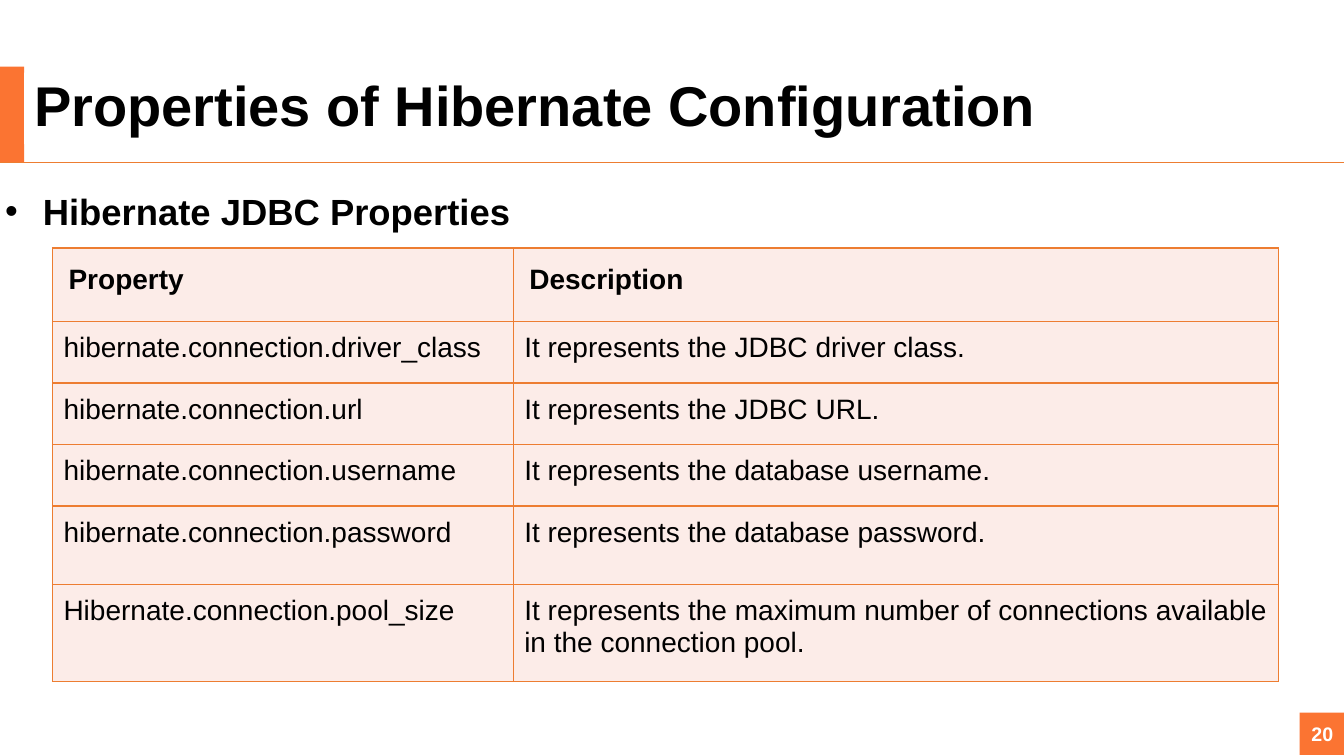
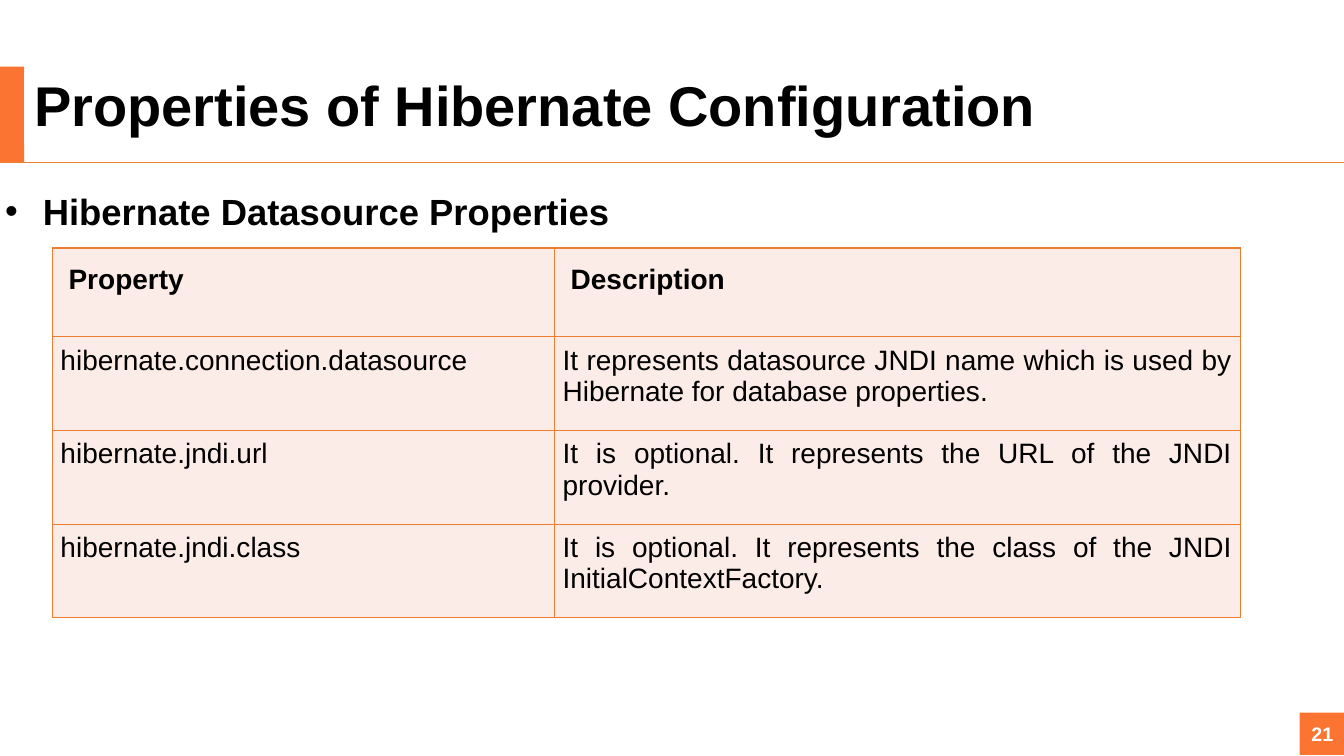
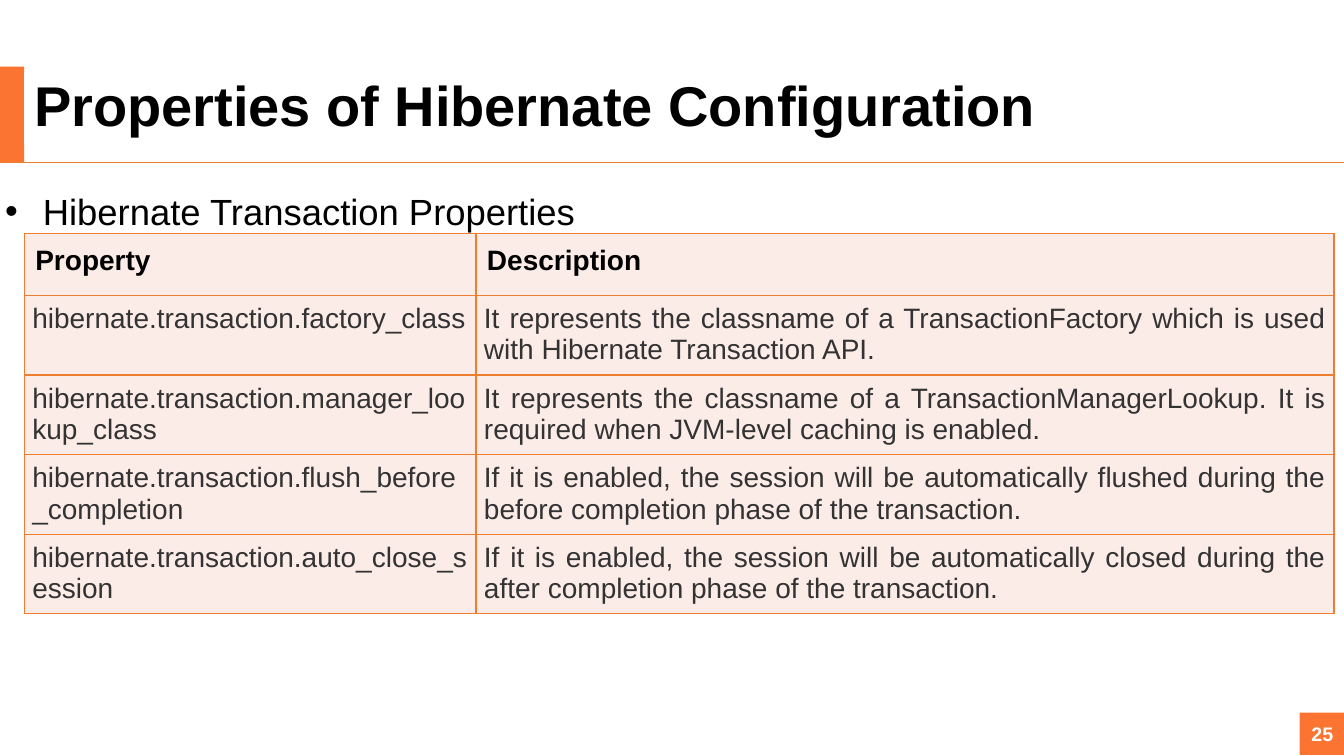
import lxml.etree
import pptx
import pptx.dml.color
import pptx.enum.shapes
import pptx.enum.text
import pptx.oxml
import pptx.oxml.ns
import pptx.util

Inches, Pt = pptx.util.Inches, pptx.util.Pt
qn = pptx.oxml.ns.qn
ALIGN = pptx.enum.text.PP_ALIGN
MIDDLE = pptx.enum.text.MSO_ANCHOR.MIDDLE
RECTANGLE = pptx.enum.shapes.MSO_SHAPE.RECTANGLE

FONT = "Arial"
ORANGE, BORDER, BULLET = "FB7432", "ED7D31", "973735"
CELL, BLACK, GREY, WHITE = "FCECE8", "000000", "333333", "FFFFFF"

TITLE = "Properties of Hibernate Configuration"
HEADINGS = ("Property", "Description")
PAGES = [
    {
        "number": 20, "topic": "Hibernate JDBC Properties", "topic_bold": True,
        "at": (0.52, 2.46), "columns": (4.57, 7.59),
        "heights": (0.73, 0.61, 0.61, 0.61, 0.78, 0.96),
        "heading_margin": 0.16, "margin": 0.11, "color": BLACK,
        "rows": [
            ("hibernate.connection.driver_class", "It represents the JDBC driver class."),
            ("hibernate.connection.url", "It represents the JDBC URL."),
            ("hibernate.connection.username", "It represents the database username."),
            ("hibernate.connection.password", "It represents the database password."),
            ("Hibernate.connection.pool_size",
             "It represents the maximum number of connections available in the connection pool."),
        ],
    },
    {
        "number": 21, "topic": "Hibernate Datasource Properties", "topic_bold": True,
        "at": (0.52, 2.46), "columns": (4.98, 6.8),
        "heights": (0.88, 0.93, 0.93, 0.93),
        "heading_margin": 0.16, "margin": 0.08, "color": BLACK,
        "rows": [
            ("hibernate.connection.datasource",
             "It represents datasource JNDI name which is used by Hibernate for database properties."),
            ("hibernate.jndi.url",
             "It is optional. It represents the URL of the JNDI provider."),
            ("hibernate.jndi.class",
             "It is optional. It represents the class of the JNDI InitialContextFactory."),
        ],
    },
    {
        "number": 25, "topic": "Hibernate Transaction Properties", "topic_bold": False,
        "at": (0.24, 2.32), "columns": (4.48, 8.51),
        "heights": (0.61, 0.79, 0.79, 0.79, 0.79),
        "heading_margin": 0.11, "margin": 0.08, "color": GREY,
        "rows": [
            ("hibernate.transaction.factory_class",
             "It represents the classname of a TransactionFactory which is used with "
             "Hibernate Transaction API."),
            ("hibernate.transaction.manager_lookup_class",
             "It represents the classname of a TransactionManagerLookup. It is required "
             "when JVM-level caching is enabled."),
            ("hibernate.transaction.flush_before_completion",
             "If it is enabled, the session will be automatically flushed during the "
             "before completion phase of the transaction."),
            ("hibernate.transaction.auto_close_session",
             "If it is enabled, the session will be automatically closed during the "
             "after completion phase of the transaction."),
        ],
    },
]


def rgb(color):
    return pptx.dml.color.RGBColor.from_string(color)


def fill(target, color):
    target.fill.solid()
    target.fill.fore_color.rgb = rgb(color)


def place(shape, left, top, width, height):
    shape.left, shape.top = Inches(left), Inches(top)
    shape.width, shape.height = Inches(width), Inches(height)


def write(frame, text, size, color, bold, align):
    frame.text = text
    para = frame.paragraphs[0]
    para.alignment = align
    font = para.font
    font.name, font.size, font.bold = FONT, Pt(size), bold
    font.color.rgb = rgb(color)
    return para


def add_block(page, *box):
    block = page.shapes.add_shape(RECTANGLE, *map(Inches, box))
    block.shadow.inherit = False
    fill(block, ORANGE)
    block.line.fill.background()
    return block


def dress_layout(layout, page):
    """Draw the title band and rule on a page, then move them to its layout."""
    band = add_block(page, 0, 0.66, 0.24, 0.95)
    rule = page.shapes.add_connector(
        pptx.enum.shapes.MSO_CONNECTOR.STRAIGHT,
        Inches(0), Inches(1.61), Inches(13.33), Inches(1.61))
    rule.line.color.rgb = rgb(BORDER)
    rule.line.width = Pt(0.75)
    lxml.etree.SubElement(rule._element.spPr, qn("a:effectLst"))
    for shape in (band, rule):
        layout.shapes._spTree.append(shape._element)


def add_bullet(para):
    props = para._p.get_or_add_pPr()
    props.set("marL", str(Inches(0.38)))
    props.set("indent", str(-Inches(0.38)))
    color = lxml.etree.SubElement(props, qn("a:buClr"))
    lxml.etree.SubElement(color, qn("a:srgbClr"), val=BULLET)
    lxml.etree.SubElement(props, qn("a:buSzPct"), val="50000")
    lxml.etree.SubElement(props, qn("a:buFont"), typeface=FONT)
    lxml.etree.SubElement(props, qn("a:buChar"), char="◆")


def add_borders(cell):
    props = cell._tc.get_or_add_tcPr()
    for side in ("lnL", "lnR", "lnT", "lnB"):
        line = lxml.etree.SubElement(props, qn(f"a:{side}"), w=str(Pt(1)))
        paint = lxml.etree.SubElement(line, qn("a:solidFill"))
        lxml.etree.SubElement(paint, qn("a:srgbClr"), val=BORDER)


def add_property_table(page, content):
    rows = [HEADINGS, *content["rows"]]
    columns, heights = content["columns"], content["heights"]
    table = page.shapes.add_table(
        len(rows), len(columns), *map(Inches, content["at"]),
        Inches(sum(columns)), Inches(sum(heights))).table
    table.first_row = table.horz_banding = False
    for column, width in zip(table.columns, columns):
        column.width = Inches(width)
    for r, (texts, height) in enumerate(zip(rows, heights)):
        table.rows[r].height = Inches(height)
        heading = r == 0
        margin = Inches(content["heading_margin" if heading else "margin"])
        for c, text in enumerate(texts):
            cell = table.cell(r, c)
            add_borders(cell)
            fill(cell, CELL)
            cell.margin_left = cell.margin_right = margin
            cell.margin_top = cell.margin_bottom = margin
            write(cell.text_frame, text, 20,
                  BLACK if heading else content["color"], heading,
                  ALIGN.LEFT if heading else ALIGN.JUSTIFY)


def fill_page(page, content):
    title, body = page.shapes.title, page.placeholders[1]
    for holder in (title, body):
        holder.text_frame.word_wrap = True
        holder.text_frame.auto_size = pptx.enum.text.MSO_AUTO_SIZE.NONE

    fill(title, WHITE)
    title.text_frame.vertical_anchor = MIDDLE
    write(title.text_frame, TITLE, 40, BLACK, True, ALIGN.LEFT).line_spacing = 0.9

    add_bullet(body.text_frame.paragraphs[0])
    topic = write(body.text_frame, content["topic"], 26, BLACK,
                  content["topic_bold"], ALIGN.JUSTIFY)
    topic.line_spacing = 1.1
    topic.space_before = Pt(0)

    number = add_block(page, 12.89, 7.07, 0.45, 0.42)
    number.text_frame.word_wrap = False
    number.text_frame.vertical_anchor = MIDDLE
    write(number.text_frame, str(content["number"]), 14, WHITE, True, ALIGN.CENTER)

    add_property_table(page, content)


def main():
    deck = pptx.Presentation()
    deck.slide_width, deck.slide_height = Inches(13.33), Inches(7.5)
    layout = deck.slide_layouts[1]
    place(layout.placeholders[0], 0.24, 0.72, 12.21, 0.71)
    place(layout.placeholders[1], -0.05, 1.78, 13.28, 5.27)
    pages = [deck.slides.add_slide(layout) for _ in PAGES]
    dress_layout(layout, pages[0])
    for page, content in zip(pages, PAGES):
        fill_page(page, content)
    deck.save("out.pptx")


if __name__ == "__main__":
    main()
